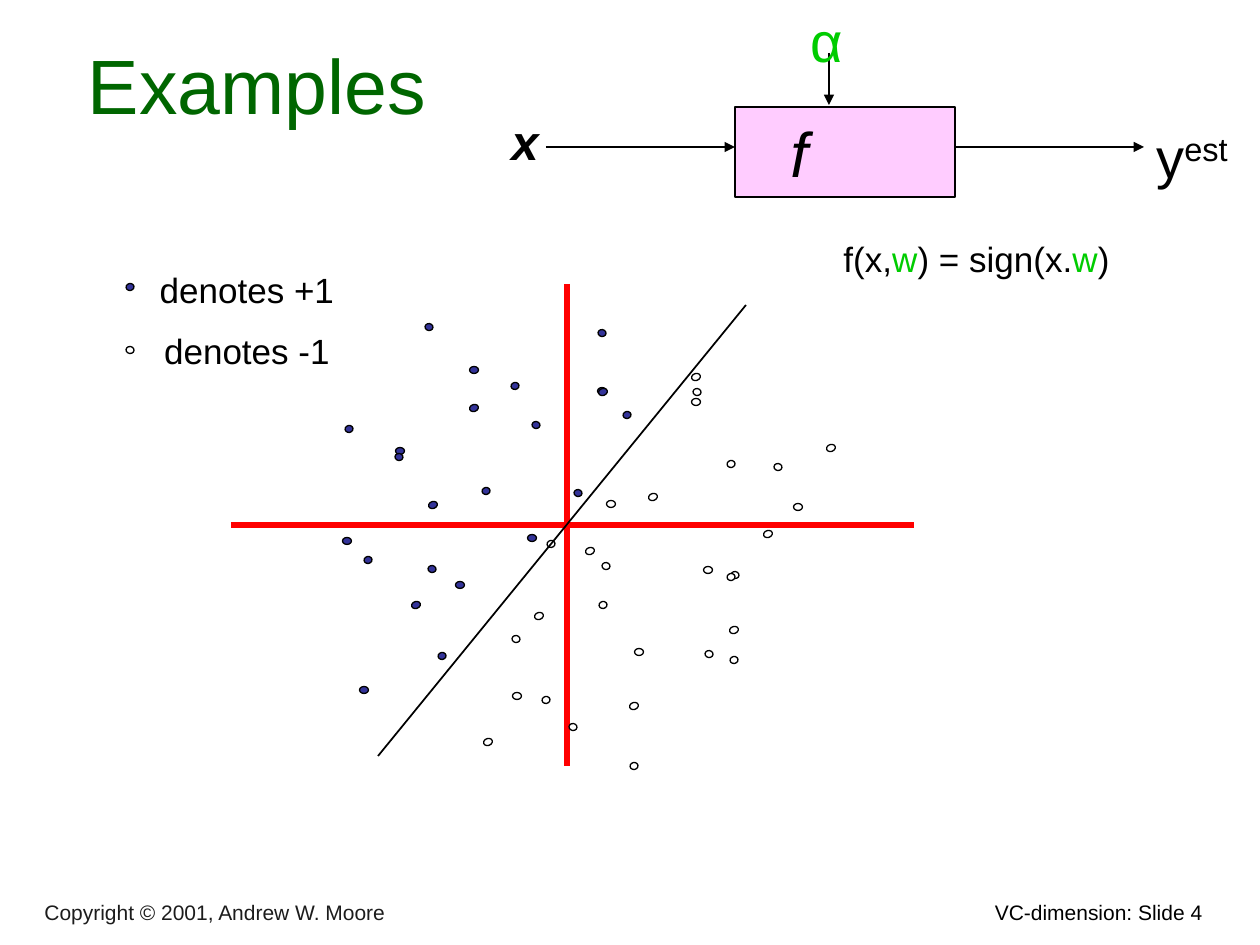
"""Build the linear classifier example slide for the VC-dimension lecture."""
from pptx import Presentation
from pptx.dml.color import RGBColor
from pptx.enum.shapes import MSO_CONNECTOR, MSO_SHAPE
from pptx.enum.text import MSO_ANCHOR, MSO_AUTO_SIZE, PP_ALIGN
from pptx.oxml.ns import qn
from pptx.util import Pt
from lxml.etree import SubElement

EMU_PER_PX = 914400 / 126
COLORS = {
    "black": "000000", "gray": "1C1C1C", "title": "006600", "green": "00CC00",
    "red": "FF0000", "pink": "FFCCFF", "positive": "333399", "negative": "FFFFFF",
}
DOT_GROUPS = [
    {"size": (9, 7), "angle": 0,
     "positive": [(460, 585), (532, 538), (347, 541), (602, 391), (474, 370),
                  (364, 690), (400, 451)],
     "negative": [(798, 507), (517, 696), (639, 652), (611, 504), (708, 570),
                  (696, 402)]},
    {"size": (9, 7), "angle": 341.4,
     "positive": [(416, 605), (603, 392), (474, 408), (433, 505)],
     "negative": [(539, 616), (831, 448), (590, 551), (634, 706), (734, 630),
                  (653, 497), (488, 742), (768, 534), (696, 377)]},
    {"size": (7, 8), "angle": 98.3,
     "positive": [(536, 425), (578, 493), (399, 457), (432, 569), (602, 333),
                  (429, 327)],
     "negative": [(573, 727), (735, 575), (606, 566), (778, 467), (697, 392),
                  (516, 639), (709, 654), (130, 350)]},
    {"size": (7, 8), "angle": 79.6,
     "positive": [(486, 491), (368, 560), (442, 656), (515, 386), (349, 429),
                  (627, 415), (130, 287)],
     "negative": [(634, 766), (551, 544), (731, 577), (603, 605), (731, 464),
                  (546, 700), (734, 660)]},
]


def px(value):
    return round(value * EMU_PER_PX)


def color(name):
    return RGBColor.from_string(COLORS[name])


def write(paragraph, text, size=20, ink="black", bold=False, italic=False, raised=False):
    run = paragraph.add_run()
    run.text = text
    font = run.font
    font.name = "Arial"
    font.size = Pt(size)
    font.bold = bold
    font.italic = italic
    font.color.rgb = color(ink)
    if raised:
        run._r.get_or_add_rPr().set("baseline", "30000")


class SlideBuilder:
    def __init__(self, slide):
        self.slide = slide
        self.shapes = slide.shapes

    def title(self, text, left, top, width, height):
        title = self.shapes.title
        title.left, title.top, title.width, title.height = map(px, (left, top, width, height))
        frame = title.text_frame
        frame.auto_size = MSO_AUTO_SIZE.NONE
        frame.vertical_anchor = MSO_ANCHOR.BOTTOM
        frame.paragraphs[0].alignment = PP_ALIGN.CENTER
        write(frame.paragraphs[0], text, size=44, ink="title")

    def text(self, left, top, width, height, align=PP_ALIGN.CENTER, anchor=MSO_ANCHOR.TOP):
        box = self.shapes.add_textbox(*map(px, (left, top, width, height)))
        frame = box.text_frame
        frame.word_wrap = True
        frame.vertical_anchor = anchor
        frame.paragraphs[0].alignment = align
        return frame

    def shape(self, kind, left, top, width, height, fill, line_width):
        shape = self.shapes.add_shape(kind, *map(px, (left, top, width, height)))
        shape.shadow.inherit = False
        shape.fill.solid()
        shape.fill.fore_color.rgb = color(fill)
        shape.line.color.rgb = color("black")
        shape.line.width = Pt(line_width)
        return shape

    def dot(self, center, size, angle, fill):
        (x, y), (width, height) = center, size
        dot = self.shape(MSO_SHAPE.OVAL, x - width / 2, y - height / 2,
                         width, height, fill, 0.75)
        dot.rotation = angle

    def line(self, start, end, ink="black", width=1, arrow=False):
        connector = self.shapes.add_connector(MSO_CONNECTOR.STRAIGHT, *map(px, start + end))
        connector.line.color.rgb = color(ink)
        connector.line.width = Pt(width)
        if arrow:
            SubElement(connector.line._get_or_add_ln(), qn("a:tailEnd"), type="triangle")
        SubElement(connector._element.spPr, qn("a:effectLst"))


def draw_function_diagram(builder):
    box = builder.shape(MSO_SHAPE.RECTANGLE, 735, 107, 220, 90, "pink", 1)
    frame = box.text_frame
    frame.vertical_anchor = MSO_ANCHOR.MIDDLE
    frame.margin_right = px(104)
    frame.paragraphs[0].alignment = PP_ALIGN.CENTER
    write(frame.paragraphs[0], "f", size=36, italic=True)

    for start, end in (((546, 147), (735, 147)), ((829, 53), (829, 105)),
                       ((955, 147), (1144, 147))):
        builder.line(start, end, arrow=True)

    data_input = builder.text(483, 105, 84, 72).paragraphs[0]
    write(data_input, "x", size=28, bold=True, italic=True)
    parameter = builder.text(798, 0, 53, 79).paragraphs[0]
    write(parameter, "α", size=32, ink="green")
    estimate = builder.text(1144, 116, 116, 79, align=PP_ALIGN.LEFT).paragraphs[0]
    write(estimate, "y", size=32)
    write(estimate, "est", size=32, raised=True)


def draw_scatter(builder):
    legend = builder.text(116, 262, 262, 117)
    write(legend.paragraphs[0], "denotes +1")
    negative_label = legend.add_paragraph()
    negative_label.alignment = PP_ALIGN.CENTER
    negative_label.space_before = Pt(11)
    write(negative_label, "denotes -1")

    builder.line((567, 284), (567, 766), ink="red", width=3)
    builder.line((231, 525), (914, 525), ink="red", width=3)
    for group in DOT_GROUPS:
        for label in ("positive", "negative"):
            for center in group[label]:
                builder.dot(center, group["size"], group["angle"], label)

    formula = builder.text(756, 231, 441, 54).paragraphs[0]
    for text, ink in (("f(x,", "black"), ("w", "green"), (") = sign(x.", "black"),
                      ("w", "green"), (")", "black")):
        write(formula, text, ink=ink)
    builder.line((378, 756), (746, 305))


def main():
    presentation = Presentation()
    presentation.slide_width = px(1260)
    presentation.slide_height = px(945)
    builder = SlideBuilder(presentation.slides.add_slide(presentation.slide_layouts[5]))
    page = builder.text(721, 893, 494, 38, align=PP_ALIGN.RIGHT).paragraphs[0]
    write(page, "VC-dimension: Slide 4", size=12)
    copyright_line = builder.text(32, 896, 699, 35, PP_ALIGN.LEFT, MSO_ANCHOR.BOTTOM)
    write(copyright_line.paragraphs[0], "Copyright © 2001, Andrew W. Moore", size=12, ink="gray")
    builder.title(" Examples", 21, 42, 451, 94)
    draw_function_diagram(builder)
    draw_scatter(builder)
    presentation.save("out.pptx")


if __name__ == "__main__":
    main()
